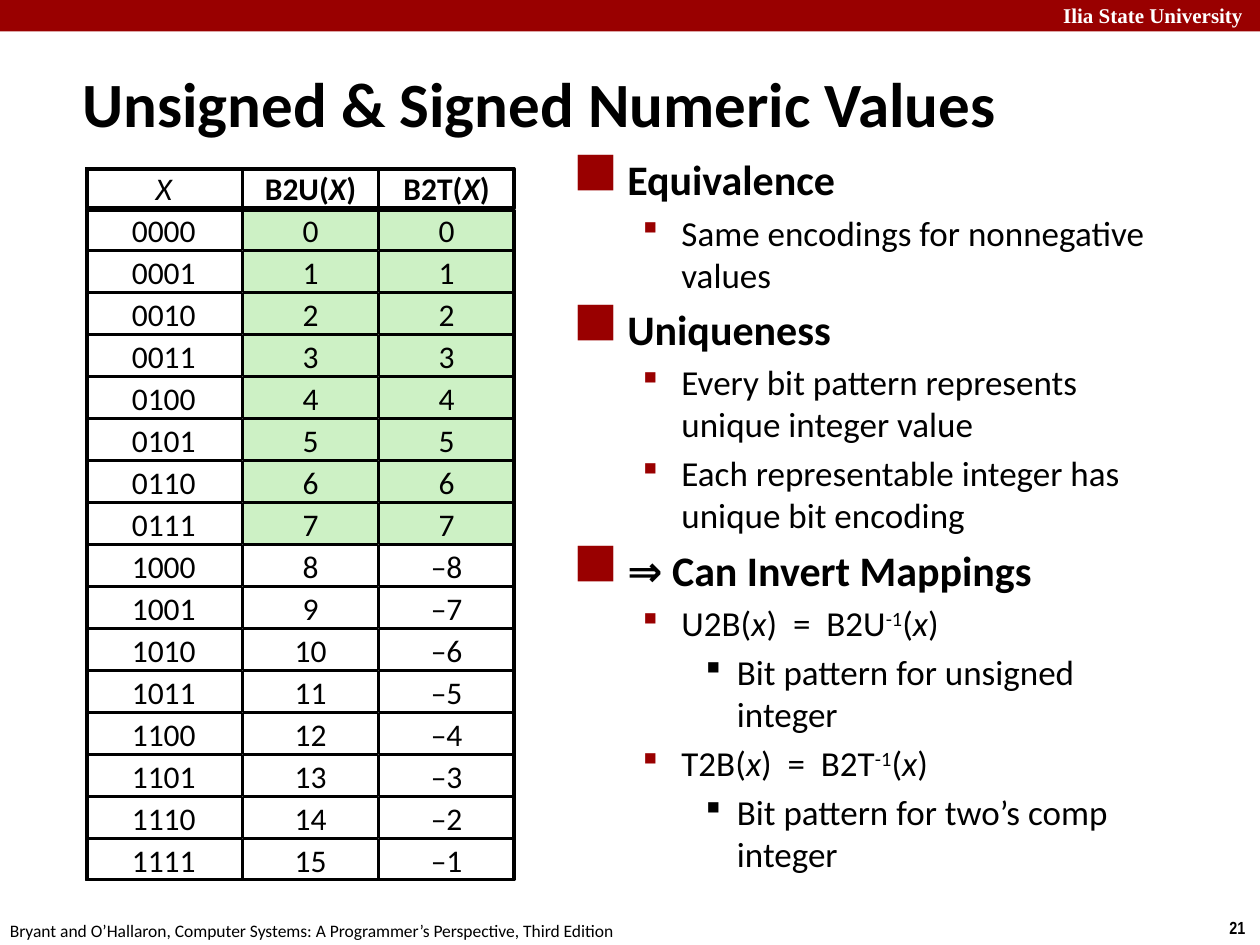
from lxml import etree
from pptx import Presentation
from pptx.dml.color import RGBColor
from pptx.enum.shapes import MSO_SHAPE
from pptx.enum.text import MSO_ANCHOR, PP_ALIGN
from pptx.oxml.ns import qn
from pptx.util import Inches, Pt

RECT = MSO_SHAPE.RECTANGLE
MIDDLE, CENTER = MSO_ANCHOR.MIDDLE, PP_ALIGN.CENTER
RED = RGBColor(0x99, 0x00, 0x00)
GREEN = RGBColor(0xCD, 0xF1, 0xC5)
WHITE = RGBColor(0xFF, 0xFF, 0xFF)
BLACK = RGBColor(0x00, 0x00, 0x00)

prs = Presentation()
prs.slide_width, prs.slide_height = Inches(10), Inches(7.5)
s = prs.slides.add_slide(prs.slide_layouts[6])
U = prs.slide_width / 100  # the grid has 100 columns and 75 rows


def add_runs(p, runs, size, name="Calibri", bold=False, color=BLACK):
    """Add text to a paragraph; "_" starts an italic run and "^" a raised one."""
    for text in runs:
        r = p.add_run()
        r.text = text.lstrip("_^")
        fmt = {"size": Pt(size), "name": name, "bold": bold, "italic": text.startswith("_")}
        for key, value in fmt.items():
            setattr(r.font, key, value)
        r.font.color.rgb = color
        if text.startswith("^"):
            r._r.get_or_add_rPr().set("baseline", "30000")


def add_rect(shapes, place, fill=None, line_width=None):
    """Place a rectangle by grid columns and rows, with a black line if it has a width."""
    sp = shapes.add_shape(RECT, *(int(v * U) for v in place))
    sp.shadow.inherit = False
    if fill is None:
        sp.fill.background()
    else:
        sp.fill.solid()
        sp.fill.fore_color.rgb = fill
    if line_width is None:
        sp.line.fill.background()
    else:
        sp.line.color.rgb = BLACK
        sp.line.width = Pt(line_width)
    return sp


# Banner, footer, title and the empty body box
add_rect(s.shapes, (0, 0, 100, 2.5), RED)

boxes = [
    ((83.4, -0.3, 17.3, 3), "Ilia State University", 12, "Times New Roman", True, WHITE),
    ((96.6, 72.3, 3.4, 2.7), "21", 10, "Arial Narrow", True, BLACK),
    ((-0.2, 72.5, 50.8, 2.7),
     "Bryant and O’Hallaron, Computer Systems: A Programmer’s Perspective, Third Edition",
     10, "Calibri", False, BLACK),
    ((5.55, 4.6, 90.8, 6.1), "Unsigned & Signed Numeric Values", 36, "Calibri", True, BLACK),
    ((45, 11.7, 48.8, 57.1), None, 24, "Calibri", True, BLACK),
]
for place, text, size, name, bold, color in boxes:
    tf = s.shapes.add_textbox(*(int(v * U) for v in place)).text_frame
    tf.word_wrap = size > 12
    if text:
        add_runs(tf.paragraphs[0], [text], size, name, bold, color)

# Bulleted text: level and runs
LEVELS = [  # margin, hanging indent, space before, bullet font, bullet, colour, size, bold
    (0.38, 0.38, 4.8, "Wingdings 2", "¢", RED, 24, True),
    (0.81, 0.31, 4, "Wingdings", "§", RED, 20, False),
    (1.25, 0.25, 4, "Wingdings", "§", BLACK, 20, False),
]
points = [
    (0, ["Equivalence"]),
    (1, ["Same encodings for nonnegative values"]),
    (0, ["Uniqueness"]),
    (1, ["Every bit pattern represents unique integer value"]),
    (1, ["Each representable integer has unique bit encoding"]),
    (0, ["⇒ Can Invert Mappings"]),
    (1, ["U2B(", "_x", ")  =  B2U", "^-1", "(", "_x", ")"]),
    (2, ["Bit pattern for unsigned integer"]),
    (1, ["T2B(", "_x", ")  =  B2T", "^-1", "(", "_x", ")"]),
    (2, ["Bit pattern for two’s comp integer"]),
]
for i, (level, runs) in enumerate(points):
    margin, hang, before, bullet_font, bullet, color, size, bold = LEVELS[level]
    p = tf.add_paragraph() if i else tf.paragraphs[0]
    p.level = level
    pPr = p._p.get_or_add_pPr()
    pPr.set("marL", str(Inches(margin)))
    pPr.set("indent", str(-Inches(hang)))
    buClr = etree.SubElement(pPr, qn("a:buClr"))
    etree.SubElement(buClr, qn("a:srgbClr"), val=str(color))
    etree.SubElement(pPr, qn("a:buFont"), typeface=bullet_font, charset="2")
    etree.SubElement(pPr, qn("a:buChar"), char=bullet)
    if i:
        p.space_before = Pt(before)
    add_runs(p, runs, size, bold=bold)

# Framed cells: four-bit patterns with their unsigned and signed values
BITS = 4
COUNT = 2 ** BITS
rows = [(["_X"], ["B2U(", "_X", ")"], ["B2T(", "_X", ")"])]
for n in range(COUNT):
    signed = str(n) if n < COUNT // 2 else f"–{COUNT - n}"
    rows.append(([f"{n:04b}"], [str(n)], [signed]))

columns = [(6.8, 12.4), (19.3, 10.7), (30.1, 10.7)]  # left, width
TOP, PITCH, CELL_HEIGHT = 13.3, 10 / 3, 3.2
cells = s.shapes.add_group_shape().shapes
for i, row in enumerate(rows):
    for j, ((left, width), runs) in enumerate(zip(columns, row)):
        same_value = 0 < i <= COUNT // 2 and j > 0
        place = (left, TOP + i * PITCH, width, CELL_HEIGHT)
        sp = add_rect(cells, place, GREEN if same_value else WHITE, 1)
        tf = sp.text_frame
        tf.vertical_anchor = MIDDLE
        p = tf.paragraphs[0]
        p.alignment = CENTER
        add_runs(p, runs, 18, bold=i == 0 and j > 0)
for top, height in [(13.4, 3.1), (16.7, 53.1)]:
    add_rect(cells, (6.9, top, 33.9, height), line_width=2)

prs.save("out.pptx")
